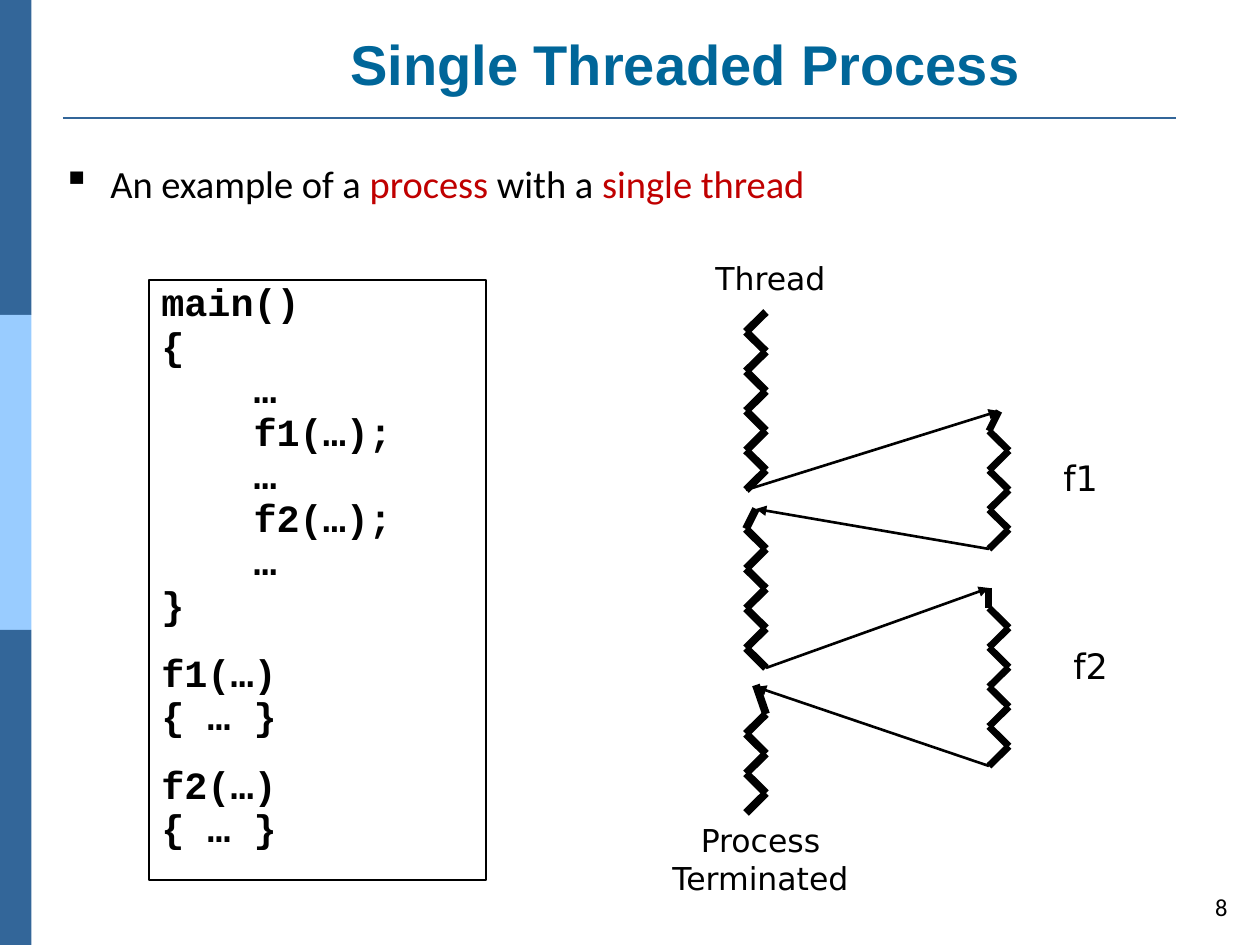
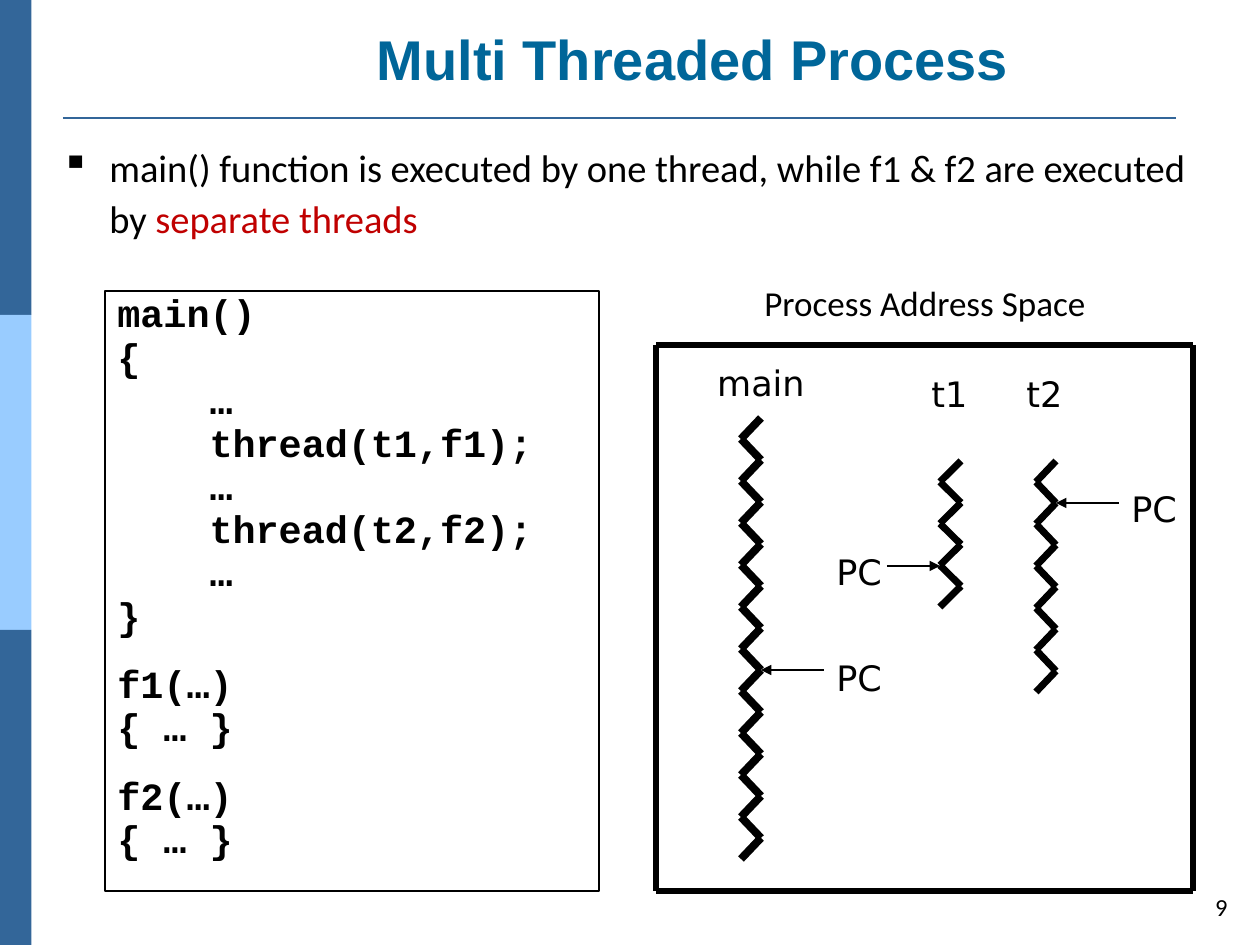
from lxml import etree
from pptx import Presentation
from pptx.dml.color import RGBColor
from pptx.enum.shapes import MSO_CONNECTOR as Link, MSO_SHAPE as Shape
from pptx.enum.text import MSO_ANCHOR as Anchor, PP_ALIGN as Align
from pptx.oxml.ns import qn
from pptx.util import Emu, Pt

PX = 914400 // 126
BLUE = RGBColor(0x33, 0x66, 0x99)
SKY = RGBColor(0x99, 0xCC, 0xFF)
TEAL = RGBColor(0x00, 0x66, 0x99)
RED = RGBColor(0xC0, 0x00, 0x00)
BLACK = RGBColor(0, 0, 0)
SANS, BODY, MONO, HEAD = "DejaVu Sans", "Calibri", "Courier New", "Arial"

FUNCS = ["f1(…)", "{ … }", "f2(…)", "{ … }"]

# label: text, box, size, font, centred
# zigzag: optional lead-in point, first x, other x, top, bottom, steps, weight
# arrow: start, end
SLIDES = [
    dict(
        title="Single Threaded Process", title_box=(111, 0, 1149, 103), page="8",
        point=[("An example of a ", BLACK), ("process", RED),
               (" with a ", BLACK), ("single thread", RED)],
        point_box=(50, 149, 1100, 62),
        code=["main()", "{", "    …", "    f1(…);", "    …", "    f2(…);",
              "    …", "}"] + FUNCS,
        code_box=(149, 280, 337, 600),
        labels=[("Thread", (684, 253, 173, 52), 18, SANS, True),
                ("Process Terminated", (644, 815, 233, 92), 18, SANS, True),
                ("f1", (1051, 450, 60, 52), 20, SANS, False),
                ("f2", (1061, 638, 60, 52), 20, SANS, False)],
        zigzags=[(None, 766, 746, 312, 490, 9, 4.5),
                 ((756, 509), 746, 766, 529, 668, 7, 4.5),
                 ((756, 685), 766, 746, 714, 813, 5, 4.5),
                 ((999, 411), 989, 1009, 431, 549, 6, 4),
                 ((989, 588), 989, 1009, 608, 766, 8, 4)],
        arrows=[((746, 490), (999, 411)), ((989, 549), (756, 509)),
                ((766, 668), (989, 588)), ((989, 766), (756, 687))],
        arrow_pt=1.5, frame=None),
    dict(
        title="Multi Threaded Process", title_box=(126, 0, 1134, 98), page="9",
        point=[("main() function is executed by one thread, while f1 & f2 "
                "are executed by ", BLACK), ("separate threads", RED)],
        point_box=(49, 133, 1174, 113),
        code=["main()", "{", "    …", "    thread(t1,f1);", "    …",
              "    thread(t2,f2);", "    …", "}"] + FUNCS,
        code_box=(105, 291, 494, 600),
        labels=[("Process Address Space", (657, 275, 536, 55), 20, BODY, True),
                ("main", (698, 355, 126, 55), 20, SANS, True),
                ("t1", (919, 366, 73, 55), 20, SANS, False),
                ("t2", (1014, 366, 73, 55), 20, SANS, False),
                ("PC", (1119, 481, 73, 55), 20, SANS, False),
                ("PC", (824, 544, 73, 55), 20, SANS, False),
                ("PC", (824, 650, 73, 55), 20, SANS, False)],
        zigzags=[(None, 761, 741, 418, 859, 21, 4.5),
                 (None, 961, 940, 461, 607, 7, 4),
                 (None, 1056, 1036, 461, 692, 11, 4)],
        arrows=[((824, 670), (761, 670)), ((887, 566), (940, 566)),
                ((1119, 503), (1056, 503))],
        arrow_pt=0.75, frame=(656, 345, 1193, 891)),
]


def emu(*nums):
    return [Emu(round(n * PX)) for n in nums]


def style(par, size, font, color=BLACK, bold=False):
    for run in par.runs:
        run.font.size, run.font.name = Pt(size), font
        run.font.bold, run.font.color.rgb = bold, color


def line(slide, start, end, weight, color=BLACK, arrow=False):
    link = slide.shapes.add_connector(Link.STRAIGHT, *emu(*start, *end))
    link.line.width, link.line.color.rgb = Pt(weight), color
    if arrow:
        etree.SubElement(link.line._get_or_add_ln(), qn("a:tailEnd"),
                         type="triangle")
    etree.SubElement(link._element.spPr, qn("a:effectLst"))


def text(slide, words, box, size, font, color=BLACK, bold=False,
         align=Align.LEFT, anchor=Anchor.TOP):
    frame = slide.shapes.add_textbox(*emu(*box)).text_frame
    frame.word_wrap, frame.vertical_anchor = True, anchor
    frame.text = words
    par = frame.paragraphs[0]
    par.alignment = align
    style(par, size, font, color, bold)
    return par


def base(slide, page):
    """Draw the side band, title rule and page number."""
    for i, color in enumerate([BLUE, SKY, BLUE]):
        band = slide.shapes.add_shape(Shape.RECTANGLE,
                                      *emu(0, i * 315, 31.5, 315))
        band.shadow.inherit = False
        band.fill.solid()
        band.fill.fore_color.rgb = color
        band.line.fill.background()
    line(slide, (63, 118), (1176, 118), 1.5, BLUE)
    text(slide, page, (1183, 881, 57, 52), 14, BODY,
         align=Align.RIGHT, anchor=Anchor.MIDDLE)


def bullet(slide, parts, box):
    par = text(slide, "", box, 22, BODY)
    par.line_spacing = 1.1
    props = par._p.get_or_add_pPr()
    indent = 48 * PX
    props.set("marL", str(indent))
    props.set("indent", str(-indent))
    etree.SubElement(props, qn("a:buChar"), char="▪")
    for words, color in parts:
        run = par.add_run()
        run.text = words
        run.font.size, run.font.name = Pt(22), BODY
        run.font.color.rgb = color


def listing(slide, rows, box):
    panel = slide.shapes.add_shape(Shape.RECTANGLE, *emu(*box))
    panel.shadow.inherit = False
    panel.fill.background()
    panel.line.color.rgb, panel.line.width = BLACK, Pt(0.75)
    frame = panel.text_frame
    frame.word_wrap, frame.vertical_anchor = True, Anchor.TOP
    frame.margin_top = emu(13)[0]
    frame.text = "\n".join(rows)
    for i, par in enumerate(frame.paragraphs):
        par.alignment, par.line_spacing = Align.LEFT, 0.65
        if i:
            par.space_before = Pt(22 if rows[i][0] == "f" else 7.5)
        style(par, 22, MONO, bold=True)


def zigzag(slide, lead, near, far, top, bottom, steps, weight):
    gap = (bottom - top) / steps
    dots = [(far if i % 2 else near, top + i * gap) for i in range(steps + 1)]
    if lead:
        dots.insert(0, lead)
    for start, end in zip(dots, dots[1:]):
        line(slide, start, end, weight)


def border(slide, left, top, right, bottom):
    for start, end in [((left, top), (left, bottom)),
                       ((left, top), (right, top)),
                       ((right, top), (right, bottom)),
                       ((left, bottom), (right, bottom))]:
        line(slide, start, end, 3)


def build(deck, data):
    slide = deck.slides.add_slide(deck.slide_layouts[6])
    base(slide, data["page"])
    text(slide, data["title"], data["title_box"], 32, HEAD, TEAL, True,
         Align.CENTER, Anchor.BOTTOM)
    bullet(slide, data["point"], data["point_box"])
    listing(slide, data["code"], data["code_box"])
    if data["frame"]:
        border(slide, *data["frame"])
    for track in data["zigzags"]:
        zigzag(slide, *track)
    for start, end in data["arrows"]:
        line(slide, start, end, data["arrow_pt"], arrow=True)
    for words, box, size, font, mid in data["labels"]:
        text(slide, words, box, size, font,
             align=Align.CENTER if mid else Align.LEFT)


def main():
    deck = Presentation()
    deck.slide_width, deck.slide_height = emu(1260, 945)
    for data in SLIDES:
        build(deck, data)
    deck.save("out.pptx")


if __name__ == "__main__":
    main()
